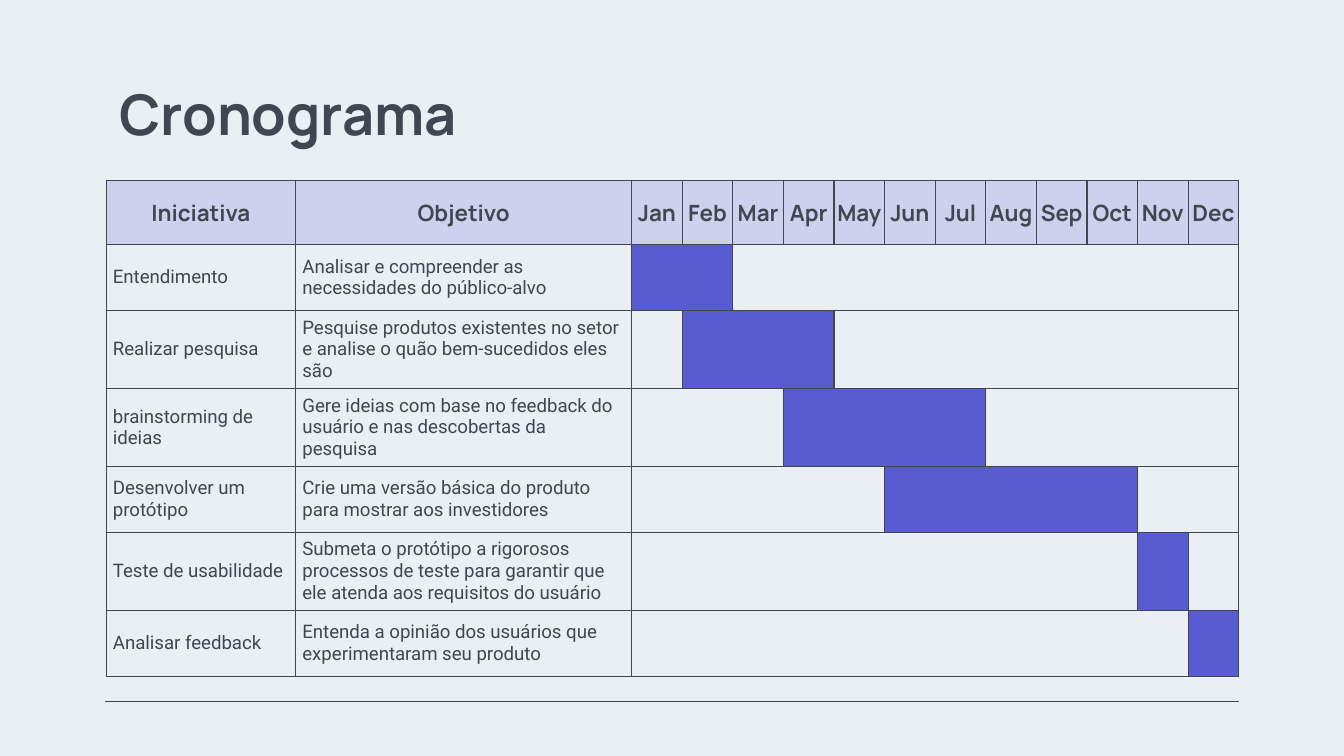
from typing import NamedTuple
from lxml.etree import SubElement
from pptx import Presentation
from pptx.dml.color import RGBColor as Rgb
from pptx.enum.shapes import MSO_CONNECTOR as Link
from pptx.enum.text import MSO_ANCHOR as Anchor, PP_ALIGN as Align
from pptx.oxml.ns import qn
from pptx.util import Inches, Pt


class Theme(NamedTuple):
    back: str = "EAEFF4"
    ink: str = "424651"
    bar: str = "595BD1"
    tint: int = 20
    head: str = "Manrope"
    body: str = "Roboto"
    title: float = 30
    label: float = 12
    text: float = 10
    rule: float = 0.75


class Task(NamedTuple):
    name: str
    goal: str
    first: int  # month numbers, 1 to 12
    last: int


THEME = Theme()
MONTHS = "Jan Feb Mar Apr May Jun Jul Aug Sep Oct Nov Dec".split()
HEADS = ["Iniciativa", "Objetivo", *MONTHS]
WIDTHS = [1.41, 2.5] + [4.52 / 12] * 12
TASKS = [
    Task("Entendimento",
         "Analisar e compreender as necessidades do público-alvo", 1, 2),
    Task("Realizar pesquisa",
         "Pesquise produtos existentes no setor e analise o quão bem-sucedidos eles são", 2, 4),
    Task("brainstorming de ideias",
         "Gere ideias com base no feedback do usuário e nas descobertas da pesquisa", 4, 7),
    Task("Desenvolver um protótipo",
         "Crie uma versão básica do produto para mostrar aos investidores", 6, 10),
    Task("Teste de usabilidade",
         "Submeta o protótipo a rigorosos processos de teste para garantir que "
         "ele atenda aos requisitos do usuário", 11, 11),
    Task("Analisar feedback",
         "Entenda a opinião dos usuários que experimentaram seu produto", 12, 12),
]
TITLE = dict(name=THEME.head, size=Pt(THEME.title), bold=True)
LABEL = dict(name=THEME.head, size=Pt(THEME.label), bold=True)
BODY = dict(name=THEME.body, size=Pt(THEME.text), bold=False)


def write(frame, text: str, form: dict, align=Align.LEFT) -> None:
    par = frame.paragraphs[0]
    par.alignment = align
    run = par.add_run()
    run.text = text
    for key, value in form.items():
        setattr(run.font, key, value)
    run.font.color.rgb = Rgb.from_string(THEME.ink)


def paint(cell, color: str = "", alpha: int = 100) -> None:
    if not color:
        cell.fill.background()
        return
    cell.fill.solid()
    cell.fill.fore_color.rgb = Rgb.from_string(color)
    if alpha < 100:
        tone = cell._tc.tcPr.find(".//" + qn("a:srgbClr"))
        SubElement(tone, qn("a:alpha"), val=str(alpha * 1000))


def border(cell, sides: str = "LRTB") -> None:
    """Draw the named sides and clear the others."""
    props = cell._tc.get_or_add_tcPr()
    for spot, side in enumerate("LRTB"):
        line = SubElement(props, qn("a:ln" + side), w=str(Pt(THEME.rule)))
        if side in sides:
            fill = SubElement(line, qn("a:solidFill"))
            SubElement(fill, qn("a:srgbClr"), val=THEME.ink)
        else:
            SubElement(line, qn("a:noFill"))
        props.insert(spot, line)


def inset(part, wide: float, high: float) -> None:
    gaps = dict(left=wide, right=wide, top=high, bottom=high)
    for side, gap in gaps.items():
        setattr(part, "margin_" + side, Inches(gap))


def label(cell, text: str, form: dict, align=Align.LEFT) -> None:
    cell.vertical_anchor = Anchor.MIDDLE
    write(cell.text_frame, text, form, align)


def draw_task(cells: list, task: Task) -> None:
    for cell, text in zip(cells, (task.name, task.goal)):
        inset(cell, 0.05, 0.04)
        label(cell, text, BODY)
        paint(cell)
        border(cell)
    # Lines fall only at the ends of the year and of the bar
    starts = {1, task.first, task.last + 1}
    ends = {12, task.last, task.first - 1}
    for month, cell in enumerate(cells[2:], 1):
        inset(cell, 0, 0)
        paint(cell, THEME.bar if task.first <= month <= task.last else "")
        border(cell, "TB" + "L" * (month in starts) + "R" * (month in ends))


def draw_plan(slide) -> None:
    table = slide.shapes.add_table(
        len(TASKS) + 1, len(HEADS), Inches(0.79), Inches(1.34),
        Inches(sum(WIDTHS)), Inches(3.42)).table
    table.first_row = table.horz_banding = False
    for col, width in zip(table.columns, WIDTHS):
        col.width = Inches(width)
    rows = [list(row.cells) for row in table.rows]
    for spot, row in enumerate(table.rows):
        row.height = Inches(0.49 if spot else 0.48)
    for cell, text in zip(rows[0], HEADS):
        inset(cell, 0, 0)
        label(cell, text, LABEL, Align.CENTER)
        paint(cell, THEME.bar, THEME.tint)
        border(cell)
    for cells, task in zip(rows[1:], TASKS):
        draw_task(cells, task)


def draw_rule(slide) -> None:
    rule = slide.shapes.add_connector(
        Link.STRAIGHT, Inches(0.78), Inches(5.22), Inches(9.22), Inches(5.22))
    rule.line.color.rgb = Rgb.from_string(THEME.ink)
    rule.line.width = Pt(THEME.rule)
    SubElement(rule._element.spPr, qn("a:effectLst"))


def draw_title(slide) -> None:
    box = slide.shapes.add_textbox(
        Inches(0.79), Inches(0.49), Inches(8.43), Inches(0.63))
    frame = box.text_frame
    frame.word_wrap = True
    frame.vertical_anchor = Anchor.TOP
    inset(frame, 0.1, 0.1)
    write(frame, "Cronograma", TITLE)


def main() -> None:
    deck = Presentation()
    deck.slide_width, deck.slide_height = Inches(10), Inches(10 * 9 / 16)
    slide = deck.slides.add_slide(deck.slide_layouts[6])
    slide.background.fill.solid()
    slide.background.fill.fore_color.rgb = Rgb.from_string(THEME.back)
    # Footer rule, title and schedule
    draw_rule(slide)
    draw_title(slide)
    draw_plan(slide)
    deck.save("out.pptx")


if __name__ == "__main__":
    main()
